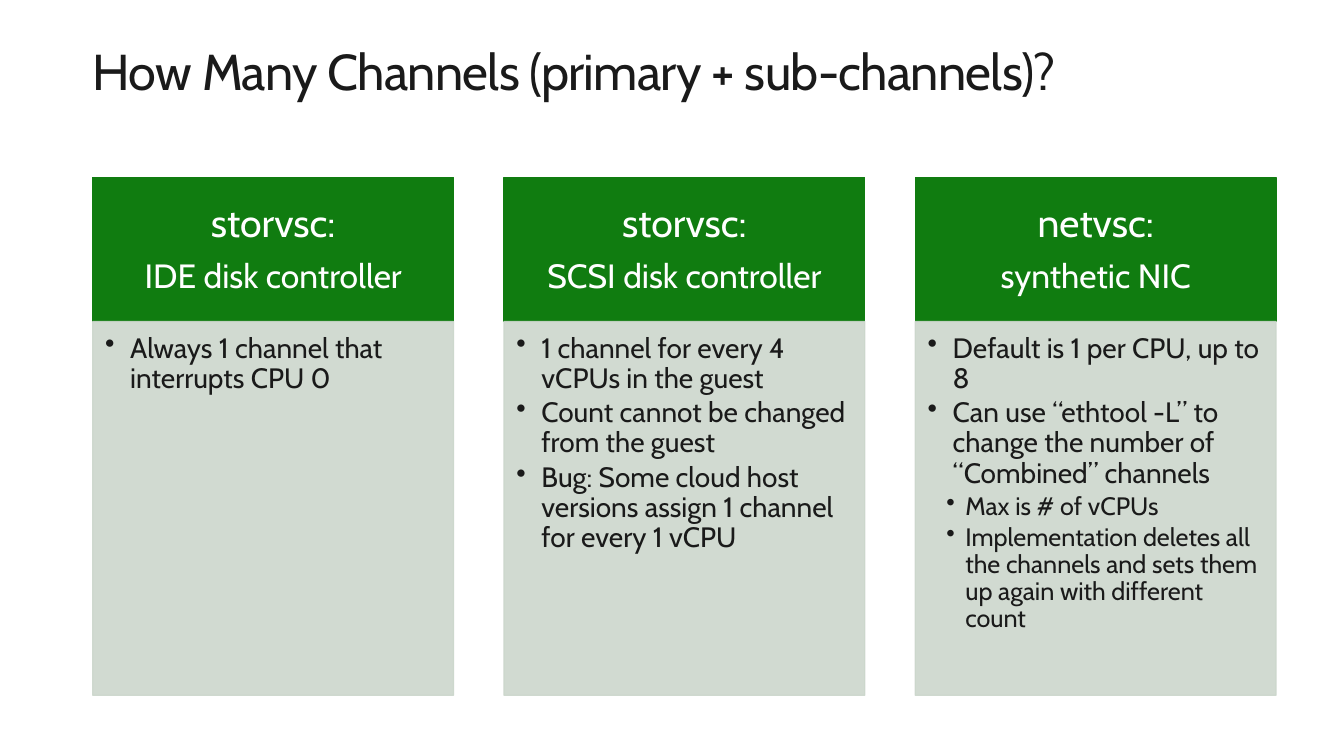
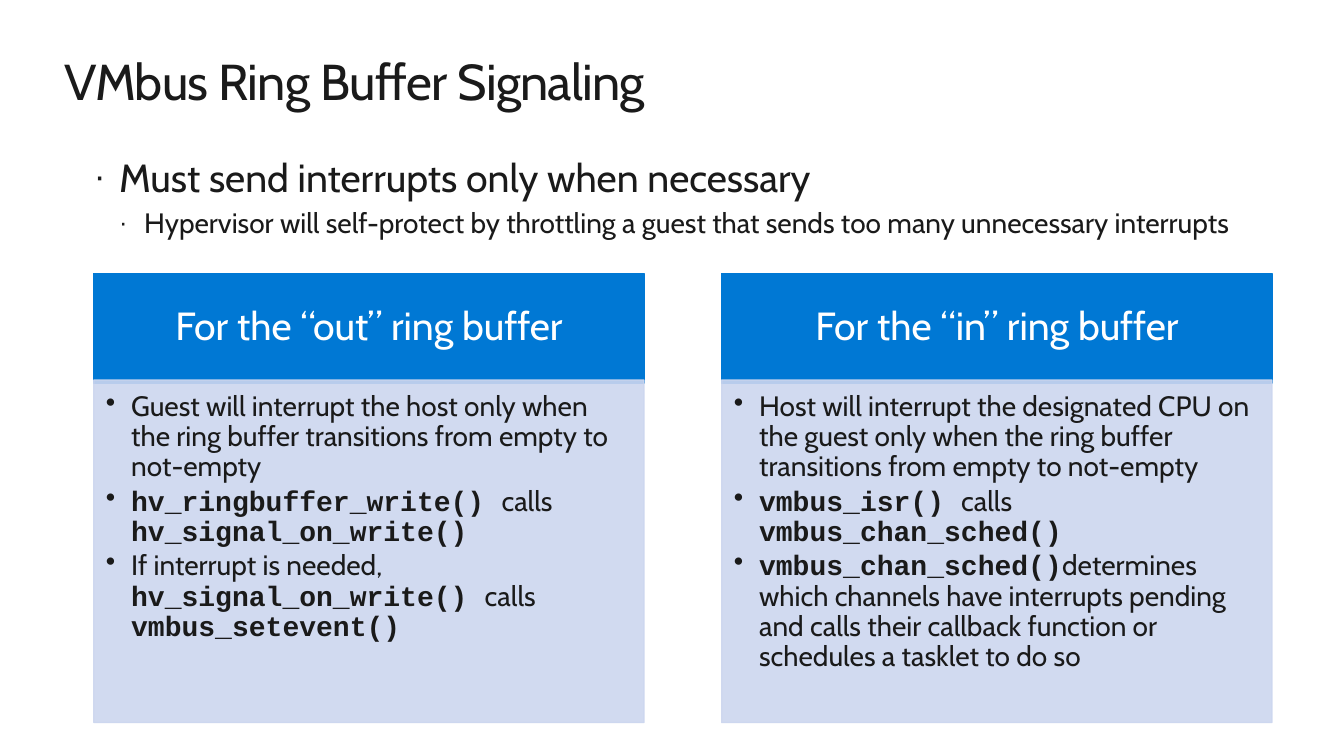
from dataclasses import dataclass

from lxml import etree
from pptx import Presentation
from pptx.dml.color import RGBColor
from pptx.enum import shapes, text
from pptx.oxml import ns
from pptx.util import Pt

SANS = "Cabin"
MONO = "Courier New"
INK = RGBColor(0x1A, 0x1A, 0x1A)
WHITE = RGBColor(0xFF, 0xFF, 0xFF)
GREEN = RGBColor(0x10, 0x7C, 0x10)
PALE_GREEN = RGBColor(0xCC, 0xD7, 0xCC)
BLUE = RGBColor(0x00, 0x78, 0xD4)
PALE_BLUE = RGBColor(0xCC, 0xD6, 0xEF)

TITLE_ONLY, TITLE_AND_BODY = 5, 1
HEADER_INSETS = (15.75, 8.75, 15.75, 8.75)
PANE_INSETS = (8.75, 8.75, 11.75, 12.5)


@dataclass(frozen=True)
class Line:
    """One paragraph; text between backticks is code."""
    text: str
    size: float
    level: int = 0


@dataclass(frozen=True)
class Column:
    header: list[Line]
    bullets: list[Line]


@dataclass(frozen=True)
class ColumnStyle:
    left: float
    width: float
    gap: float
    header_top: float
    header_height: float
    pane_top: float
    pane_height: float
    header_color: RGBColor
    pane_color: RGBColor


CHANNEL_STYLE = ColumnStyle(66.24, 257.76, 36, 126.7, 103, 229.7, 267,
                            GREEN, PALE_GREEN)
RING_STYLE = ColumnStyle(66.96, 393.12, 55.44, 195.1, 78.5, 271.4, 244.8,
                         BLUE, PALE_BLUE)

CHANNEL_COLUMNS = [
    Column([Line("storvsc:", 28), Line("IDE disk controller", 24)],
           [Line("Always 1 channel that interrupts CPU 0", 20)]),
    Column([Line("storvsc:", 28), Line("SCSI disk controller", 24)],
           [Line("1 channel for every 4 vCPUs in the guest", 20),
            Line("Count cannot be changed from the guest", 20),
            Line("Bug: Some cloud host versions assign 1 channel "
                 "for every 1 vCPU", 20)]),
    Column([Line("netvsc:", 28), Line("synthetic NIC", 24)],
           [Line("Default is 1 per CPU, up to 8", 20),
            Line("Can use “ethtool -L” to change the number of "
                 "“Combined” channels", 20),
            Line("Max is # of vCPUs", 18, 1),
            Line("Implementation deletes all the channels and sets them up "
                 "again with different count", 18, 1)]),
]

RING_COLUMNS = [
    Column([Line("For the “out” ring buffer", 28)],
           [Line("Guest will interrupt the host only when the ring buffer "
                 "transitions from empty to not-empty", 20),
            Line("`hv_ringbuffer_write() `calls `hv_signal_on_write()`", 20),
            Line("If interrupt is needed, `hv_signal_on_write() `calls "
                 "`vmbus_setevent()`", 20)]),
    Column([Line("For the “in” ring buffer", 28)],
           [Line("Host will interrupt the designated CPU on the guest only "
                 "when the ring buffer transitions from empty to not-empty", 20),
            Line("`vmbus_isr() `calls `vmbus_chan_sched()`", 20),
            Line("`vmbus_chan_sched()`determines which channels have "
                 "interrupts pending and calls their callback function or "
                 "schedules a tasklet to do so", 20)]),
]

SIGNALING_POINTS = [
    Line("Must send interrupts only when necessary", 28),
    Line("Hypervisor will self-protect by throttling a guest that sends too "
         "many unnecessary interrupts", 20, 1),
]


def place(shape, left: float, top: float, width: float, height: float) -> None:
    shape.left, shape.top = Pt(left), Pt(top)
    shape.width, shape.height = Pt(width), Pt(height)


def set_frame(frame, insets=(0, 0, 0, 0), anchor=text.MSO_ANCHOR.TOP) -> None:
    frame.word_wrap = True
    frame.auto_size = text.MSO_AUTO_SIZE.NONE
    frame.vertical_anchor = anchor
    (frame.margin_left, frame.margin_top,
     frame.margin_right, frame.margin_bottom) = map(Pt, insets)


def set_bullet(para, char: str, left: float, hanging: float,
               percent: int = 100) -> None:
    props = para._p.get_or_add_pPr()
    props.set("marL", str(Pt(left)))
    props.set("indent", str(-Pt(hanging)))
    size = etree.SubElement(props, ns.qn("a:buSzPct"))
    size.set("val", str(percent * 1000))
    etree.SubElement(props, ns.qn("a:buChar")).set("char", char)


def set_font(font, size: float, color: RGBColor) -> None:
    font.name, font.size, font.bold = SANS, Pt(size), False
    font.color.rgb = color


def add_paragraphs(frame, lines: list[Line]):
    """Yield each line with its filled paragraph, ready for formatting."""
    for index, line in enumerate(lines):
        para = frame.add_paragraph() if index else frame.paragraphs[0]
        para.level = line.level
        for part, words in enumerate(line.text.split("`")):
            if words:
                span = para.add_run()
                span.text = words
                if part % 2:
                    span.font.name, span.font.bold = MONO, True
        yield line, para


def add_panel(page, left: float, top: float, width: float, height: float,
              color: RGBColor, opacity: int = 100):
    panel = page.shapes.add_shape(shapes.MSO_SHAPE.RECTANGLE, Pt(left), Pt(top),
                                  Pt(width), Pt(height))
    panel.shadow.inherit = False
    panel.line.width = Pt(0.85)
    for fill in (panel.fill, panel.line.fill):
        fill.solid()
        fill.fore_color.rgb = color
    if opacity < 100:
        for tint in panel._element.spPr.iter(ns.qn("a:srgbClr")):
            alpha = etree.SubElement(tint, ns.qn("a:alpha"))
            alpha.set("val", str(opacity * 1000))
    return panel


def add_header(page, lines: list[Line], left: float, style: ColumnStyle) -> None:
    box = add_panel(page, left, style.header_top, style.width,
                    style.header_height, style.header_color)
    set_frame(box.text_frame, HEADER_INSETS, text.MSO_ANCHOR.MIDDLE)
    for line, para in add_paragraphs(box.text_frame, lines):
        para.alignment = text.PP_ALIGN.CENTER
        para.line_spacing = 0.9
        para.space_after = Pt(line.size * 0.35)
        set_font(para.font, line.size, WHITE)


def add_pane(page, lines: list[Line], left: float, style: ColumnStyle) -> None:
    box = add_panel(page, left, style.pane_top, style.width,
                    style.pane_height, style.pane_color, opacity=90)
    set_frame(box.text_frame, PANE_INSETS)
    for line, para in add_paragraphs(box.text_frame, lines):
        left_margin, hanging = (27, 13.5) if line.level else (18, 18)
        set_bullet(para, "•", left_margin, hanging)
        para.alignment = text.PP_ALIGN.LEFT
        para.line_spacing = 0.9
        para.space_after = Pt(line.size * 0.15)
        set_font(para.font, line.size, INK)


def add_columns(page, columns: list[Column], style: ColumnStyle) -> None:
    for index, column in enumerate(columns):
        left = style.left + index * (style.width + style.gap)
        add_header(page, column.header, left, style)
        add_pane(page, column.bullets, left, style)


def add_page(deck, layout: int, title: str, left: float, top: float,
             width: float, height: float):
    page = deck.slides.add_slide(deck.slide_layouts[layout])
    box = page.shapes.title
    place(box, left, top, width, height)
    set_frame(box.text_frame)
    para = box.text_frame.paragraphs[0]
    span = para.add_run()
    span.text = title
    span._r.get_or_add_rPr().set("spc", "-50")
    para.alignment = text.PP_ALIGN.LEFT
    set_font(para.font, 36, INK)
    return page


def add_body(page, lines: list[Line]) -> None:
    box = page.placeholders[1]
    place(box, 67, 109.4, 841.7, 79.2)
    set_frame(box.text_frame)
    for index, (line, para) in enumerate(add_paragraphs(box.text_frame, lines)):
        set_bullet(para, "·", 18 * (line.level + 1), 18, percent=90)
        para.space_before = Pt(line.size * 0.2 if index else 0)
        set_font(para.font, line.size, INK)


def main() -> None:
    deck = Presentation()
    deck.slide_width, deck.slide_height = Pt(960), Pt(540)

    channels = add_page(deck, TITLE_ONLY,
                        "How Many Channels (primary + sub-channels)?",
                        66.24, 28.8, 877, 104.4)
    add_columns(channels, CHANNEL_COLUMNS, CHANNEL_STYLE)

    signaling = add_page(deck, TITLE_AND_BODY, "VMbus Ring Buffer Signaling",
                         46, 36, 867.6, 44)
    add_body(signaling, SIGNALING_POINTS)
    add_columns(signaling, RING_COLUMNS, RING_STYLE)

    deck.save("out.pptx")


if __name__ == "__main__":
    main()
